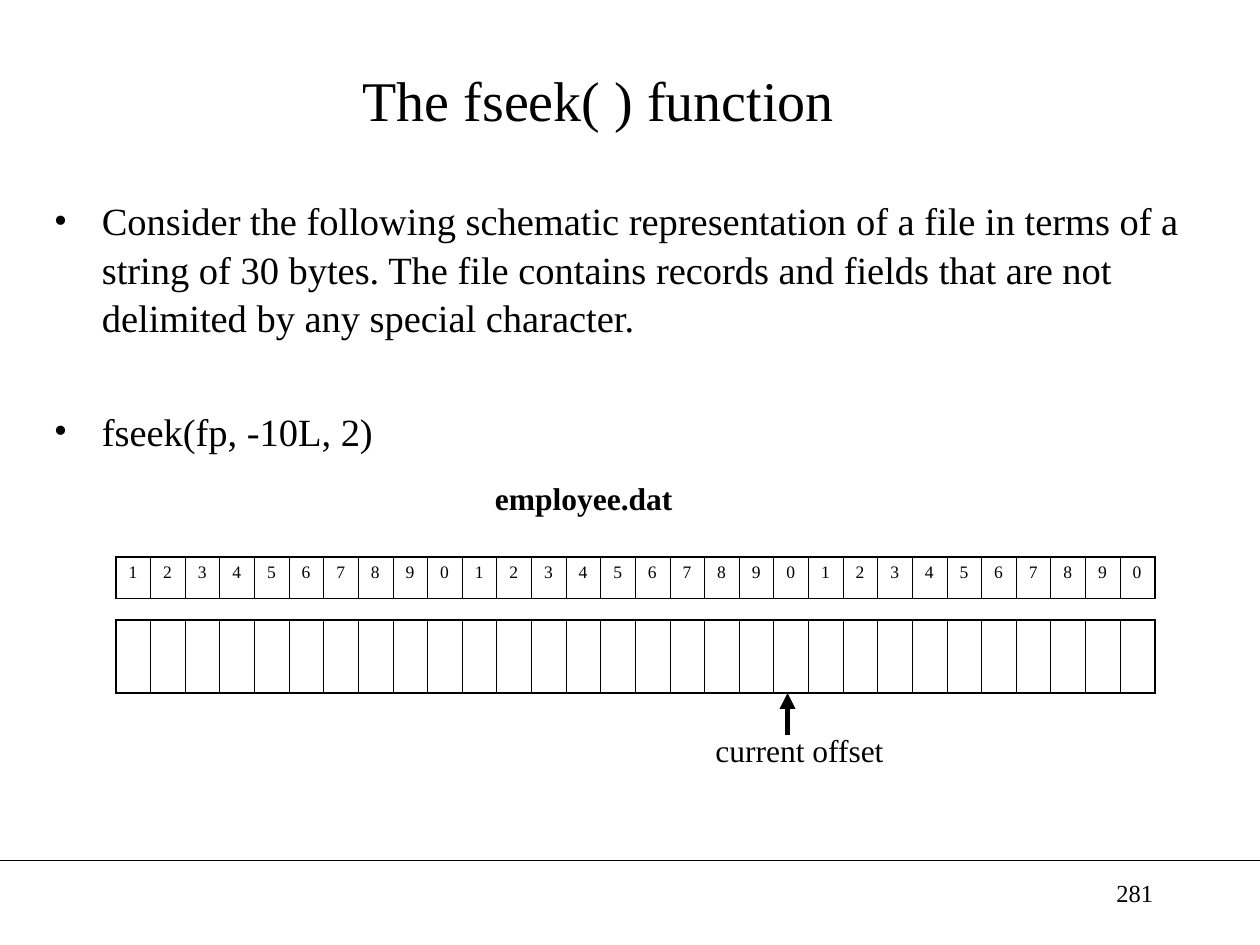
import pptx
import pptx.util
import pptx.dml.color
import pptx.enum.shapes
import pptx.enum.text
from pptx.oxml.ns import qn
from lxml import etree

Inches = pptx.util.Inches
Pt = pptx.util.Pt
ALIGN = pptx.enum.text.PP_ALIGN
ANCHOR = pptx.enum.text.MSO_ANCHOR

BLACK = pptx.dml.color.RGBColor(0x00, 0x00, 0x00)
FONT = "Times New Roman"

BYTE_COUNT = 30
STRIP_LEFT, STRIP_WIDTH = 0.92, 8.25
OUTER_LINE, INNER_LINE = 1.08, 0.45


def write(paragraph, text, size=18, bold=False, align=ALIGN.LEFT, before=0, spacing=None):
    """Put formatted text into a paragraph."""
    paragraph.alignment = align
    paragraph.space_before = Pt(before)
    if spacing:
        paragraph.line_spacing = spacing
    run = paragraph.add_run()
    run.text = text
    run.font.name = FONT
    run.font.size = Pt(size)
    run.font.bold = bold
    run.font.color.rgb = BLACK


def add_text_frame(slide, left, top, width, height):
    box = slide.shapes.add_textbox(Inches(left), Inches(top), Inches(width), Inches(height))
    box.text_frame.word_wrap = True
    return box.text_frame


def add_label(slide, text, left, top, width, height, **text_format):
    frame = add_text_frame(slide, left, top, width, height)
    write(frame.paragraphs[0], text, **text_format)


def add_bullet(paragraph):
    properties = paragraph._p.get_or_add_pPr()
    properties.set("marL", str(Inches(0.38)))
    properties.set("indent", str(-Inches(0.38)))
    colour = etree.SubElement(properties, qn("a:buClr"))
    etree.SubElement(colour, qn("a:srgbClr"), val=str(BLACK))
    etree.SubElement(properties, qn("a:buFont"), typeface=FONT)
    etree.SubElement(properties, qn("a:buChar"), char="•")


def add_line(slide, start, end, width, arrow=False):
    line = slide.shapes.add_connector(
        pptx.enum.shapes.MSO_CONNECTOR.STRAIGHT,
        Inches(start[0]), Inches(start[1]), Inches(end[0]), Inches(end[1]))
    line.line.color.rgb = BLACK
    line.line.width = Pt(width)
    if arrow:
        etree.SubElement(line.line._get_or_add_ln(), qn("a:tailEnd"), type="triangle")
    etree.SubElement(line._element.spPr, qn("a:effectLst"))


def set_borders(cell, **widths):
    """Draw the sides L, R, T and B with the given widths in points."""
    properties = cell._tc.get_or_add_tcPr()
    for side, width in widths.items():
        border = etree.SubElement(properties, qn(f"a:ln{side}"), w=str(Pt(width)))
        fill = etree.SubElement(border, qn("a:solidFill"))
        etree.SubElement(fill, qn("a:srgbClr"), val=str(BLACK))


def add_byte_strip(slide, top, height, digits=None):
    """Add a one-row table with a cell for each byte."""
    strip = slide.shapes.add_table(
        1, BYTE_COUNT, Inches(STRIP_LEFT), Inches(top),
        Inches(STRIP_WIDTH), Inches(height)).table
    strip.first_row = False
    strip.horz_banding = False
    last = BYTE_COUNT - 1
    for index in range(BYTE_COUNT):
        strip.columns[index].width = Inches(STRIP_WIDTH / BYTE_COUNT)
        cell = strip.cell(0, index)
        set_borders(cell,
                    L=OUTER_LINE if index == 0 else INNER_LINE,
                    R=OUTER_LINE if index == last else INNER_LINE,
                    T=OUTER_LINE, B=OUTER_LINE)
        cell.fill.background()
        if digits:
            write(cell.text_frame.paragraphs[0], digits[index], size=10)


def add_title(slide, text):
    title = slide.shapes.title
    title.left, title.top = Inches(0.5), Inches(0.25)
    title.width, title.height = Inches(8.5), Inches(1.08)
    title.text_frame.vertical_anchor = ANCHOR.MIDDLE
    write(title.text_frame.paragraphs[0], text, size=32, align=ALIGN.CENTER)


def add_points(slide, points):
    frame = add_text_frame(slide, 0.33, 1.5, 9.25, 3)
    for index, point in enumerate(points):
        paragraph = frame.add_paragraph() if index else frame.paragraphs[0]
        add_bullet(paragraph)
        write(paragraph, point, size=22, before=37 if index else 0, spacing=1.05)


def main():
    deck = pptx.Presentation()
    deck.slide_width, deck.slide_height = Inches(10), Inches(7.5)
    slide = deck.slides.add_slide(deck.slide_layouts[5])

    # Footer rule, title and explanation
    add_line(slide, (0, 6.83), (10, 6.83), 0.75)
    add_title(slide, "The fseek( ) function")
    add_points(slide, [
        "Consider the following schematic representation of a file in terms of a "
        "string of 30 bytes. The file contains records and fields that are not "
        "delimited by any special character.",
        "fseek(fp, -10L, 2)",
    ])

    # File contents with the offset marker
    add_byte_strip(slide, 4.92, 0.58)
    add_line(slide, (6.25, 5.83), (6.25, 5.5), 3, arrow=True)
    add_label(slide, "current offset", 5.58, 5.75, 1.75, 0.4)

    # File name and byte positions
    add_label(slide, "employee.dat", 3.83, 3.75, 1.75, 0.4, bold=True)
    positions = [str(byte % 10) for byte in range(1, BYTE_COUNT + 1)]
    add_byte_strip(slide, 4.42, 0.33, positions)

    # Page number
    add_label(slide, "281", 7.17, 6.92, 2.08, 0.5, size=14, align=ALIGN.RIGHT)

    deck.save("out.pptx")


if __name__ == "__main__":
    main()
